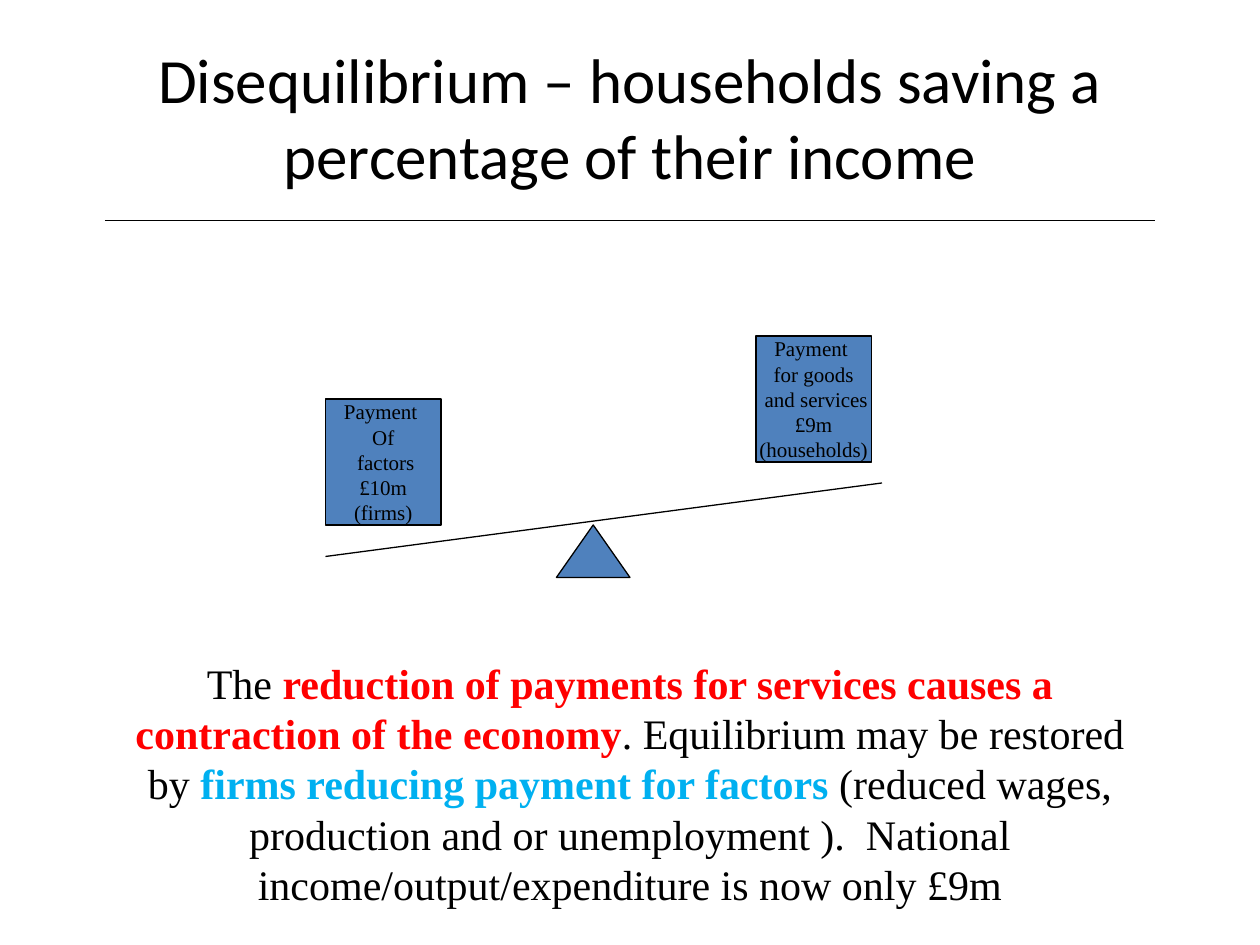
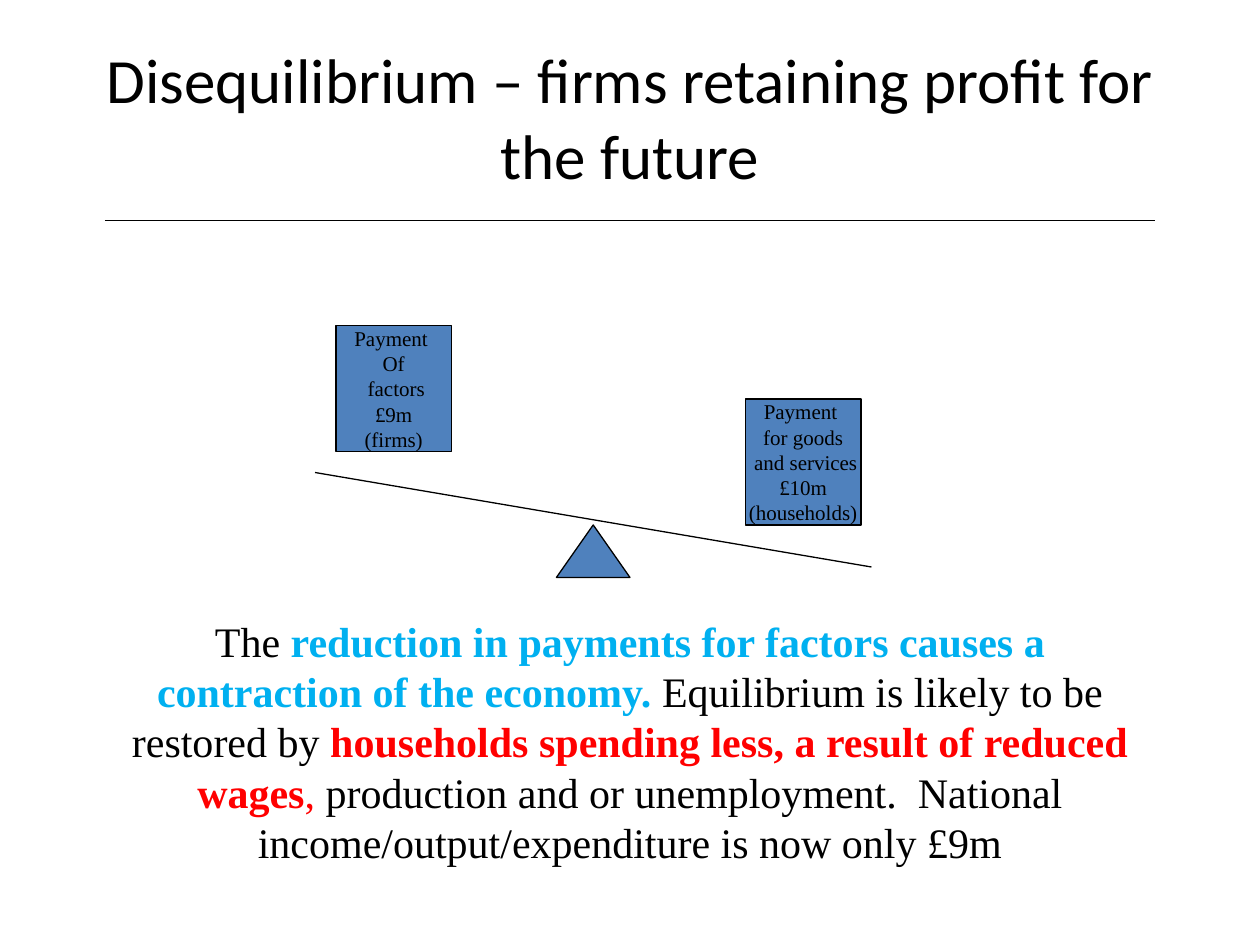
from lxml import etree
from pptx import Presentation
from pptx.dml.color import RGBColor
from pptx.enum.shapes import MSO_CONNECTOR, MSO_SHAPE
from pptx.enum.text import MSO_ANCHOR, MSO_AUTO_SIZE, PP_ALIGN
from pptx.oxml.ns import qn
from pptx.util import Pt

STRAIGHT = MSO_CONNECTOR.STRAIGHT
RECTANGLE, TRIANGLE = MSO_SHAPE.RECTANGLE, MSO_SHAPE.ISOSCELES_TRIANGLE
MIDDLE, TOP = MSO_ANCHOR.MIDDLE, MSO_ANCHOR.TOP
GROW, FIXED = MSO_AUTO_SIZE.SHAPE_TO_FIT_TEXT, MSO_AUTO_SIZE.NONE
CENTER = PP_ALIGN.CENTER


class Theme:
    black = RGBColor(0, 0, 0)
    red = RGBColor(255, 0, 0)
    sky = RGBColor(0, 176, 240)
    blue = RGBColor(79, 129, 189)
    line = 0.75
    leading = 1.2
    title = {"name": "Calibri", "size": Pt(36)}
    body = {"name": "Times New Roman", "size": Pt(24)}
    label = {"name": "Times New Roman", "size": Pt(12)}


PLAIN = {"bold": False, "color": Theme.black}
RED = {"bold": True, "color": Theme.red}
RED_LIGHT = {"bold": False, "color": Theme.red}
SKY = {"bold": True, "color": Theme.sky}

WEIGHT_WIDTH, WEIGHT_HEIGHT = 66, 72
FIRMS = ["Payment ", "Of", " factors", "{}", "(firms)"]
HOUSEHOLDS = ["Payment ", "for goods", " and services", "{}", "(households)"]

seesaws = [
    {
        "title": "Disequilibrium – households saving a percentage of their income",
        "beam": (186, 318, 504, 276),
        "weights": [(186, 228, FIRMS, "£10m"), (432, 192, HOUSEHOLDS, "£9m")],
        "summary_top": 372,
        "summary": [
            ("The ", PLAIN),
            ("reduction of payments for services causes a contraction of the economy", RED),
            (". Equilibrium may be restored by ", PLAIN),
            ("firms reducing payment for factors ", SKY),
            ("(reduced wages, production and or unemployment ).  "
             "National income/output/expenditure is now only £9m", PLAIN),
        ],
    },
    {
        "title": "Disequilibrium – firms retaining profit for the future",
        "beam": (180, 270, 498, 324),
        "weights": [(192, 186, FIRMS, "£9m"), (426, 228, HOUSEHOLDS, "£10m")],
        "summary_top": 348,
        "summary": [
            ("The ", PLAIN),
            ("reduction in payments for factors causes a contraction of the economy. ", SKY),
            ("Equilibrium is likely to be restored by ", PLAIN),
            ("households spending less, a result of reduced wages", RED),
            (", ", RED_LIGHT),
            ("production and or unemployment.  "
             "National income/output/expenditure is now only £9m", PLAIN),
        ],
    },
]


def write(shape, paragraphs, font, frame_format, space_before=0):
    """Fill a shape with centred paragraphs, each a list of (text, style) runs."""
    frame = shape.text_frame
    for name, value in frame_format.items():
        setattr(frame, name, value)
    for index, runs in enumerate(paragraphs):
        paragraph = frame.paragraphs[0] if index == 0 else frame.add_paragraph()
        paragraph.alignment = CENTER
        paragraph.space_before = Pt(space_before)
        paragraph.line_spacing = Pt(font["size"].pt * Theme.leading)
        for text, style in runs:
            run = paragraph.add_run()
            run.text = text
            for name, value in font.items():
                setattr(run.font, name, value)
            run.font.bold = style["bold"]
            run.font.color.rgb = style["color"]


deck = Presentation()
deck.slide_width, deck.slide_height = Pt(720), Pt(540)

for seesaw in seesaws:
    slide = deck.slides.add_slide(deck.slide_layouts[6])
    shapes = slide.shapes

    heading = shapes.add_textbox(Pt(36), Pt(21.6), Pt(648), Pt(90))
    write(heading, [[(seesaw["title"], PLAIN)]], Theme.title,
          {"word_wrap": True, "vertical_anchor": MIDDLE, "auto_size": FIXED})

    summary = shapes.add_textbox(Pt(66), Pt(seesaw["summary_top"]), Pt(588), Pt(180))
    write(summary, [seesaw["summary"]], Theme.body,
          {"word_wrap": True, "vertical_anchor": TOP, "auto_size": GROW}, space_before=15)

    title_rule = (60, 126, 660, 126)
    for ends in (title_rule, seesaw["beam"]):
        line = shapes.add_connector(STRAIGHT, *map(Pt, ends))
        line.line.color.rgb = Theme.black
        line.line.width = Pt(Theme.line)
        etree.SubElement(line._element.spPr, qn("a:effectLst"))

    pivot = shapes.add_shape(TRIANGLE, Pt(318), Pt(300), Pt(42), Pt(30))
    solids = [pivot]
    for left, top, label, amount in seesaw["weights"]:
        weight = shapes.add_shape(RECTANGLE, Pt(left), Pt(top),
                                  Pt(WEIGHT_WIDTH), Pt(WEIGHT_HEIGHT))
        write(weight, [[(text.format(amount), PLAIN)] for text in label], Theme.label,
              {"word_wrap": False, "vertical_anchor": MIDDLE})
        solids.append(weight)

    for solid in solids:
        solid.shadow.inherit = False
        solid.fill.solid()
        solid.fill.fore_color.rgb = Theme.blue
        solid.line.color.rgb = Theme.black
        solid.line.width = Pt(Theme.line)

deck.save("out.pptx")
